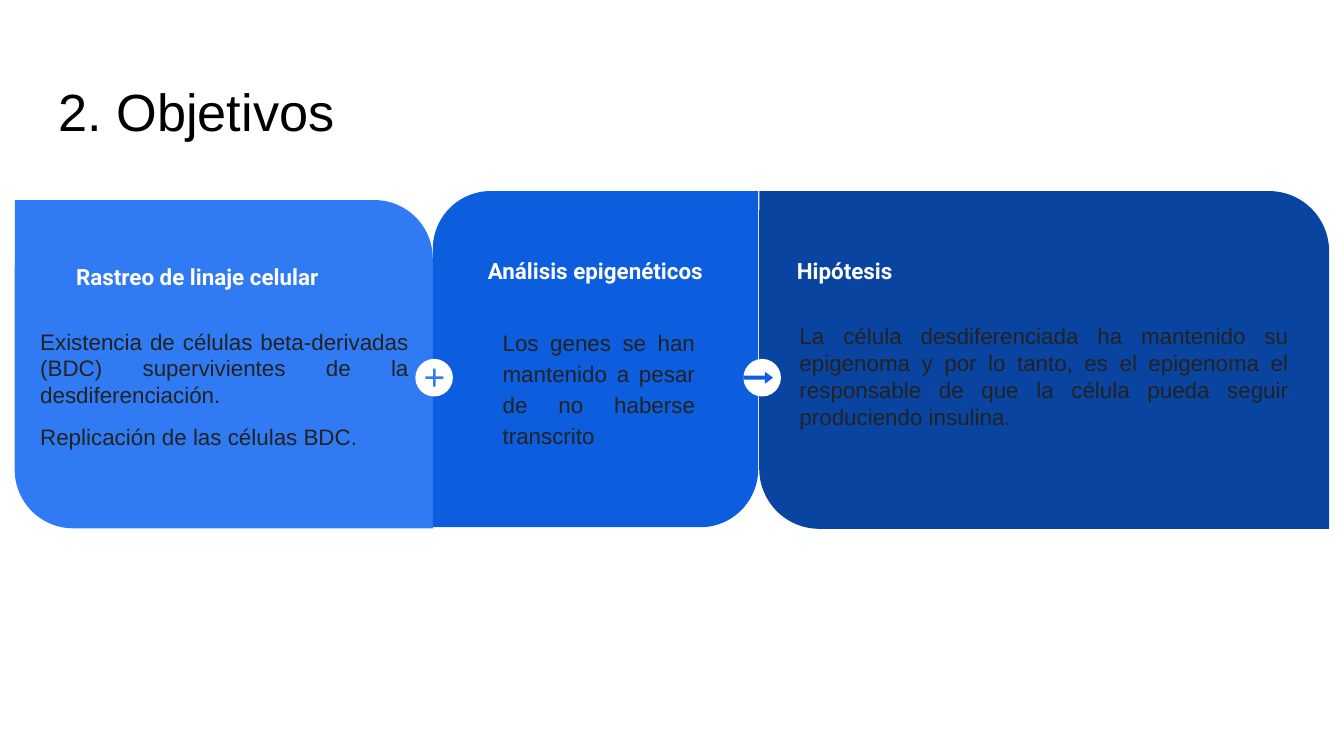
import pptx
import pptx.util
import pptx.dml.color
import pptx.enum.shapes
import pptx.enum.text

Cm, Pt = pptx.util.Cm, pptx.util.Pt
RGBColor = pptx.dml.color.RGBColor
SHAPE = pptx.enum.shapes.MSO_SHAPE
ALIGN = pptx.enum.text.PP_ALIGN

BLACK = RGBColor(0x00, 0x00, 0x00)
WHITE = RGBColor(0xFF, 0xFF, 0xFF)
INK = RGBColor(0x22, 0x22, 0x22)
LIGHT_BLUE = RGBColor(0x30, 0x7B, 0xF3)
BLUE = RGBColor(0x0D, 0x5D, 0xDF)
DARK_BLUE = RGBColor(0x09, 0x44, 0xA1)

# Content; boxes are left, top, width, height in cm
TITLE = "2. Objetivos"
TITLE_BOX = (0.86, 1.24, 23.67, 1.6)
ROUNDING = 0.178

# corners: top-left/bottom-right and top-right/bottom-left rounding
# body: text, space before, space after in points
CARDS = [
    dict(box=(0.28, 3.78, 7.9, 6.2), color=LIGHT_BLUE, corners=(0, ROUNDING),
         heading="Rastreo de linaje celular", heading_box=(1.19, 4.72, 5.89, 1.14),
         body=[("Existencia de células beta-derivadas (BDC) supervivientes "
                "de la desdiferenciación.", 0, 0),
               ("Replicación de las células BDC.", 8, 8)],
         body_box=(0.51, 5.94, 7.47, 2.59), spacing=1.0),
    dict(box=(8.18, 3.61, 6.15, 6.35), color=BLUE, corners=(ROUNDING, 0),
         heading="Análisis epigenéticos", heading_box=(8.97, 4.6, 4.6, 1.85),
         body=[("Los genes se han mantenido a pesar de no haberse transcrito", 0, 16)],
         body_box=(9.25, 5.89, 4.14, 2.51), spacing=1.15),
    dict(box=(14.35, 3.61, 10.77, 6.38), color=DARK_BLUE, corners=(0, ROUNDING),
         heading="Hipótesis", heading_box=(14.81, 4.6, 8.69, 1.85),
         body=[("La célula desdiferenciada ha mantenido su epigenoma y por lo tanto, "
                "es el epigenoma el responsable de que la célula pueda seguir "
                "produciendo insulina.", 0, 8)],
         body_box=(14.86, 5.84, 9.75, 2.59), spacing=1.0),
]

BADGE_TOP, BADGE_SIZE = 6.78, 0.71
# badge left, symbol, symbol left, width, height, adjustments, colour
BADGES = [
    (14.05, SHAPE.RIGHT_ARROW, 14.05, 0.56, 0.23, (0.32, 0.67), BLUE),
    (7.85, SHAPE.MATH_PLUS, 7.98, 0.46, 0.46, (0.099,), LIGHT_BLUE),
]

presentation = pptx.Presentation()
presentation.slide_width, presentation.slide_height = Cm(25.4), Cm(14.28)
slide = presentation.slides.add_slide(presentation.slide_layouts[6])


def add_filled(kind, box, color, adjustments=()):
    shape = slide.shapes.add_shape(kind, *map(Cm, box))
    shape.shadow.inherit = False
    shape.fill.solid()
    shape.fill.fore_color.rgb = color
    shape.line.fill.background()
    for i, value in enumerate(adjustments):
        shape.adjustments[i] = value


def add_text(box, paragraphs, size, color, font="Arial", bold=False,
             align=ALIGN.LEFT, spacing=1.0):
    frame = slide.shapes.add_textbox(*map(Cm, box)).text_frame
    frame.word_wrap = True
    frame.margin_left = frame.margin_right = Cm(0.25)
    frame.margin_top = frame.margin_bottom = Cm(0.25)
    for i, (text, before, after) in enumerate(paragraphs):
        paragraph = frame.add_paragraph() if i else frame.paragraphs[0]
        paragraph.text = text
        paragraph.alignment = align
        paragraph.line_spacing = spacing
        paragraph.space_before, paragraph.space_after = Pt(before), Pt(after)
        paragraph.font.name = font
        paragraph.font.size = Pt(size)
        paragraph.font.bold = bold
        paragraph.font.color.rgb = color


# Title
add_text(TITLE_BOX, [(TITLE, 0, 0)], 28, BLACK)

# Cards
for card in CARDS:
    add_filled(SHAPE.ROUND_2_DIAG_RECTANGLE, card["box"], card["color"], card["corners"])
    add_text(card["heading_box"], [(card["heading"], 0, 0)], 12, WHITE, "Roboto", bold=True)
    add_text(card["body_box"], card["body"], 12, INK,
             align=ALIGN.JUSTIFY, spacing=card["spacing"])

# Badges between the cards, each symbol centred vertically
for left, symbol, symbol_left, width, height, adjustments, color in BADGES:
    add_filled(SHAPE.OVAL, (left, BADGE_TOP, BADGE_SIZE, BADGE_SIZE), WHITE)
    symbol_top = BADGE_TOP + (BADGE_SIZE - height) / 2
    add_filled(symbol, (symbol_left, symbol_top, width, height), color, adjustments)

presentation.save("out.pptx")
